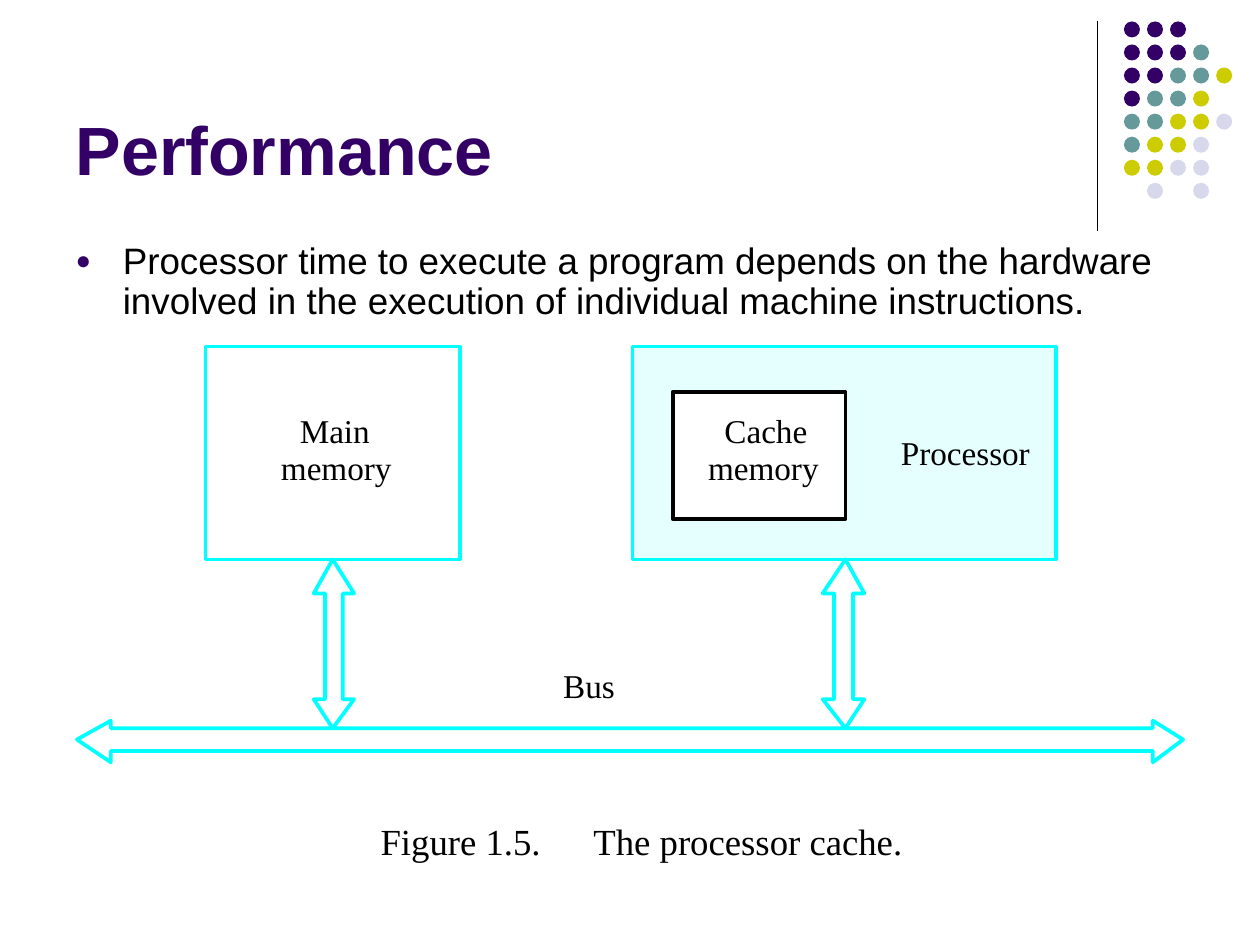
from typing import NamedTuple

from lxml import etree
from pptx import Presentation
from pptx import util as u
from pptx.dml.color import RGBColor
from pptx.enum import shapes, text
from pptx.oxml import ns

COLORS = {
    "purple": "330066", "teal": "669999", "olive": "CCCC00", "lavender": "D8D8EC",
    "cyan": "00FFFF", "pale": "E5FFFF", "white": "FFFFFF", "black": "000000",
}
COLUMNS, ROWS = 100, 75
LINE_WIDTH = 2.13
DOT_COLORS = {"P": "purple", "T": "teal", "Y": "olive", "L": "lavender"}
DOT_ROWS = ["PPP", "PPPT", "PPTTY", "PTTY", "TTYYL", "TYYL", "YYLL", " L L"]
DOT_LEFT, DOT_TOP, DOT_STEP, DOT_SIZE = 89.2, 1.7, 1.83, 1.27

presentation = Presentation()
presentation.slide_width, presentation.slide_height = u.Inches(10), u.Inches(7.5)
slide = presentation.slides.add_slide(presentation.slide_layouts[1])


class Area(NamedTuple):
    left: float
    top: float
    width: float
    height: float


class Block(NamedTuple):
    area: Area
    fill: str | None
    line: str


class Label(NamedTuple):
    words: str
    area: Area
    size: float = 19


class DoubleArrow(NamedTuple):
    along: tuple[float, float, float, float]
    across: tuple[float, float, float, float, float]
    vertical: bool


BLOCKS = [
    Block(Area(16.3, 27.5, 20.2, 16.9), None, "cyan"),
    Block(Area(50.2, 27.5, 33.6, 16.9), "pale", "cyan"),
    Block(Area(53.4, 31.1, 13.7, 10.1), "white", "black"),
]
SHAFT = (44.4, 47.1, 55.5, 57.8)
ARROWS = [
    DoubleArrow(SHAFT, (24.9, 25.8, 26.4, 27.2, 28.1), True),
    DoubleArrow(SHAFT, (65.3, 66.2, 67.1, 67.7, 68.6), True),
    DoubleArrow((6.1, 8.8, 91.5, 93.9), (57.2, 57.8, 58.7, 59.6, 60.5), False),
]
LABELS = [
    Label("Main", Area(23.8, 32.6, 6, 3.2)),
    Label("memory", Area(22.3, 35.5, 9.2, 3.2)),
    Label("Cache", Area(57.5, 32.6, 7, 3.2)),
    Label("memory", Area(56.2, 35.5, 9.2, 3.2)),
    Label("Processor", Area(71.5, 34.3, 11, 3.2)),
    Label("Bus", Area(44.7, 52.8, 4.5, 3.2)),
    Label("Figure 1.5.", Area(30.2, 65, 13.5, 3.5), 21),
    Label("The processor cache.", Area(47.1, 65, 26, 3.5), 21),
]


def x(column: float) -> int:
    return round(presentation.slide_width * column / COLUMNS)


def y(row: float) -> int:
    return round(presentation.slide_height * row / ROWS)


def place(area: Area) -> tuple[int, int, int, int]:
    return x(area.left), y(area.top), x(area.width), y(area.height)


def color(name: str) -> RGBColor:
    return RGBColor.from_string(COLORS[name])


def paint(shape, fill: str | None, line: str | None) -> None:
    shape.shadow.inherit = False
    if fill:
        shape.fill.solid()
        shape.fill.fore_color.rgb = color(fill)
    else:
        shape.fill.background()
    if line:
        shape.line.color.rgb = color(line)
        shape.line.width = u.Pt(LINE_WIDTH)
    else:
        shape.line.fill.background()


def style(paragraph, name: str, size: float, ink: str, bold: bool = False) -> None:
    paragraph.alignment = text.PP_ALIGN.LEFT
    paragraph.font.name = name
    paragraph.font.size = u.Pt(size)
    paragraph.font.bold = bold
    paragraph.font.color.rgb = color(ink)


def fill_placeholder(shape, area: Area, words: str, anchor):
    shape.left, shape.top, shape.width, shape.height = place(area)
    frame = shape.text_frame
    frame.text = words
    frame.auto_size = text.MSO_AUTO_SIZE.NONE
    frame.vertical_anchor = anchor
    return frame.paragraphs[0]


def set_bullet(paragraph, ink: str, percent: int, character: str, indent: int) -> None:
    properties = paragraph._p.get_or_add_pPr()
    properties.set("marL", str(indent))
    properties.set("indent", str(-indent))
    bullet_color = etree.SubElement(properties, ns.qn("a:buClr"))
    etree.SubElement(bullet_color, ns.qn("a:srgbClr"), val=COLORS[ink])
    etree.SubElement(properties, ns.qn("a:buSzPct"), val=str(percent * 1000))
    etree.SubElement(properties, ns.qn("a:buFont"), typeface="Arial")
    etree.SubElement(properties, ns.qn("a:buChar"), char=character)


def draw_rule(column: float, top: float, bottom: float) -> None:
    rule = slide.shapes.add_connector(
        shapes.MSO_CONNECTOR.STRAIGHT, x(column), y(top), x(column), y(bottom))
    rule.line.color.rgb = color("black")
    rule.line.width = u.Pt(0.75)
    etree.SubElement(rule._element.spPr, ns.qn("a:effectLst"))


def draw_dots() -> None:
    for row, pattern in enumerate(DOT_ROWS):
        for column, key in enumerate(pattern):
            if key in DOT_COLORS:
                area = Area(DOT_LEFT + column * DOT_STEP, DOT_TOP + row * DOT_STEP,
                            DOT_SIZE, DOT_SIZE)
                dot = slide.shapes.add_shape(shapes.MSO_SHAPE.OVAL, *place(area))
                paint(dot, DOT_COLORS[key], None)


def draw_block(block: Block) -> None:
    shape = slide.shapes.add_shape(shapes.MSO_SHAPE.RECTANGLE, *place(block.area))
    paint(shape, block.fill, block.line)


def draw_arrow(arrow: DoubleArrow) -> None:
    start, head, tail, end = arrow.along
    near, inner, tip, outer, far = arrow.across
    outline = [(start, tip), (head, near), (head, inner), (tail, inner), (tail, near),
               (end, tip), (tail, far), (tail, outer), (head, outer), (head, far)]
    if arrow.vertical:
        outline = [(across, along) for along, across in outline]
    points = [(x(column), y(row)) for column, row in outline]
    builder = slide.shapes.build_freeform(*points[0])
    builder.add_line_segments(points[1:], close=True)
    paint(builder.convert_to_shape(), None, "cyan")


def draw_label(label: Label) -> None:
    frame = slide.shapes.add_textbox(*place(label.area)).text_frame
    frame.margin_left = frame.margin_right = frame.margin_top = frame.margin_bottom = 0
    frame.word_wrap = True
    frame.auto_size = text.MSO_AUTO_SIZE.NONE
    frame.text = label.words
    style(frame.paragraphs[0], "Times New Roman", label.size, "black")


def main() -> None:
    draw_rule(87.1, 1.7, 18.3)
    draw_dots()
    title = fill_placeholder(slide.shapes.title, Area(5, 1.3, 82.5, 14.2),
                             "Performance", text.MSO_ANCHOR.BOTTOM)
    style(title, "Arial", 39, "purple", bold=True)
    body = fill_placeholder(
        slide.placeholders[1], Area(5, 18.8, 90, 9.5),
        "Processor time to execute a program depends on the hardware "
        "involved in the execution of individual machine instructions.",
        text.MSO_ANCHOR.TOP)
    style(body, "Arial", 21, "black")
    body.line_spacing = 0.9
    body.space_before = u.Pt(5.2)
    set_bullet(body, "purple", 70, "●", x(3.75))
    for block in BLOCKS:
        draw_block(block)
    for arrow in ARROWS:
        draw_arrow(arrow)
    for label in LABELS:
        draw_label(label)
    presentation.save("out.pptx")


if __name__ == "__main__":
    main()
